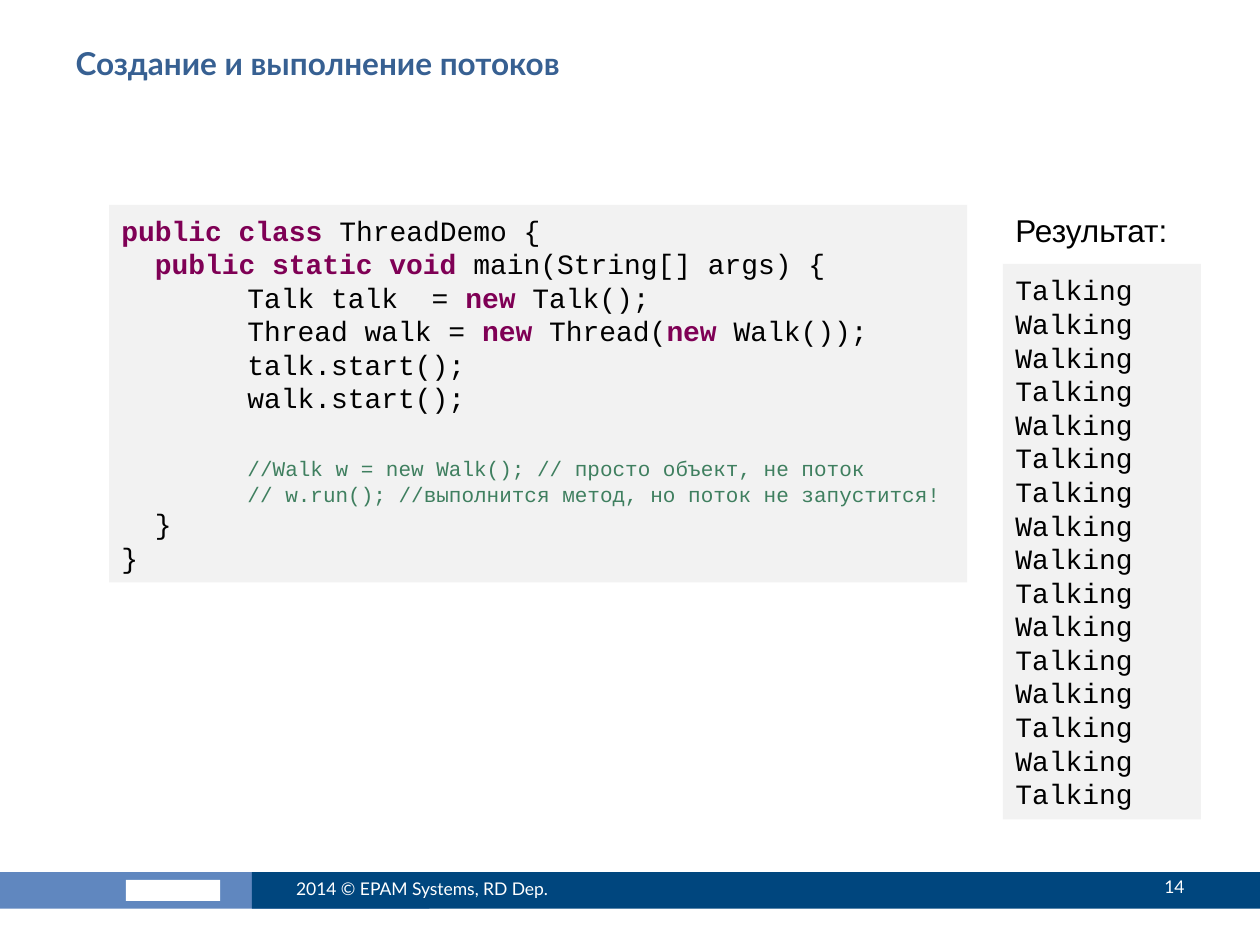
from lxml import etree
from pptx import Presentation
from pptx import util as u
from pptx.dml.color import RGBColor
from pptx.enum import shapes, text
from pptx.oxml import ns

WHITE = RGBColor(0xFF, 0xFF, 0xFF)
BLACK = RGBColor(0x00, 0x00, 0x00)
TITLE_BLUE = RGBColor(0x37, 0x60, 0x92)
LIGHT_BLUE = RGBColor(0x60, 0x87, 0xBF)
DARK_BLUE = RGBColor(0x00, 0x46, 0x7E)
PANEL_GREY = RGBColor(0xF2, 0xF2, 0xF2)
KEYWORD = RGBColor(0x7F, 0x00, 0x55)
COMMENT = RGBColor(0x3F, 0x7F, 0x5F)

HEADING_FONT, BODY_FONT, CODE_FONT = "Lato", "Arial", "Courier New"
CODE_SIZE, COMMENT_SIZE = 16, 12
CODE_TAB = u.Cm(2.54)


def plain(words, size=CODE_SIZE):
    return words, size, BLACK, False


def keyword(words):
    return words, CODE_SIZE, KEYWORD, True


def comment(words):
    return words, COMMENT_SIZE, COMMENT, False


class SlideBuilder:
    """Holds the slide and draws each kind of element on it."""

    def __init__(self, presentation):
        self.slide = presentation.slides.add_slide(presentation.slide_layouts[5])

    def add_runs(self, paragraph, runs, font):
        for words, size, color, bold in runs:
            run = paragraph.add_run()
            run.text = words
            run.font.name = font
            run.font.size = u.Pt(size)
            run.font.color.rgb = color
            run.font.bold = bold

    def add_tab_stop(self, paragraph, position):
        properties = paragraph._p.get_or_add_pPr()
        tabs = etree.SubElement(properties, ns.qn("a:tabLst"))
        etree.SubElement(tabs, ns.qn("a:tab"), pos=str(int(position)), algn="l")

    def title(self, words, left, top, width, height):
        shape = self.slide.shapes.title
        shape.left, shape.top = u.Cm(left), u.Cm(top)
        shape.width, shape.height = u.Cm(width), u.Cm(height)
        shape.text_frame.vertical_anchor = text.MSO_ANCHOR.TOP
        paragraph = shape.text_frame.paragraphs[0]
        paragraph.alignment = text.PP_ALIGN.LEFT
        self.add_runs(paragraph, [(words, 18, TITLE_BLUE, True)], HEADING_FONT)

    def rectangle(self, left, top, width, height, color):
        shape = self.slide.shapes.add_shape(
            shapes.MSO_SHAPE.RECTANGLE,
            u.Cm(left), u.Cm(top), u.Cm(width), u.Cm(height))
        shape.shadow.inherit = False
        shape.fill.solid()
        shape.fill.fore_color.rgb = color
        shape.line.fill.background()
        return shape

    def label(self, words, left, top, width, height, size=10, color=WHITE,
              font=HEADING_FONT, align=text.PP_ALIGN.LEFT,
              anchor=text.MSO_ANCHOR.MIDDLE):
        box = self.slide.shapes.add_textbox(
            u.Cm(left), u.Cm(top), u.Cm(width), u.Cm(height))
        frame = box.text_frame
        frame.word_wrap = True
        frame.vertical_anchor = anchor
        frame.paragraphs[0].alignment = align
        self.add_runs(frame.paragraphs[0], [(words, size, color, False)], font)

    def code_panel(self, lines, left, top, width, height, gap_before=None):
        frame = self.rectangle(left, top, width, height, PANEL_GREY).text_frame
        frame.word_wrap = True
        frame.auto_size = text.MSO_AUTO_SIZE.SHAPE_TO_FIT_TEXT
        frame.vertical_anchor = text.MSO_ANCHOR.MIDDLE
        for number, runs in enumerate(lines):
            paragraph = frame.add_paragraph() if number else frame.paragraphs[0]
            paragraph.alignment = text.PP_ALIGN.LEFT
            if number == gap_before:
                paragraph.space_before = u.Pt(19.2)
            if runs[0][0].startswith("\t"):
                self.add_tab_stop(paragraph, CODE_TAB)
            self.add_runs(paragraph, runs, CODE_FONT)


CODE = [
    [keyword("public class "), plain("ThreadDemo {")],
    [keyword("  public static void"), plain(" main(String[] args) {")],
    [plain("\tTalk talk  = "), keyword("new "), plain("Talk();")],
    [plain("\tThread walk = "), keyword("new"), plain(" Thread("),
     keyword("new"), plain(" Walk());")],
    [plain("\ttalk.start();")],
    [plain("\twalk.start();")],
    [plain("\t"), comment("//Walk w = new Walk(); // просто объект, не поток")],
    [plain("\t", COMMENT_SIZE),
     comment("// w.run(); //выполнится метод, но поток не запустится!")],
    [plain("  }")],
    [plain("}")],
]
FIRST_COMMENT = 6
OUTPUT = ("Talking Walking Walking Talking Walking Talking Talking Walking "
          "Walking Talking Walking Talking Walking Talking Walking Talking").split()


def main():
    presentation = Presentation()
    presentation.slide_width, presentation.slide_height = u.Cm(25.4), u.Cm(19.05)
    builder = SlideBuilder(presentation)

    # Footer band, with a plain block in the emblem's place
    band_top, band_height = 17.58, 0.74
    builder.rectangle(-0.05, band_top, 8.71, band_height, LIGHT_BLUE)
    builder.rectangle(2.54, 17.74, 1.9, 0.42, WHITE)
    builder.rectangle(5.08, band_top, 20.32, band_height, DARK_BLUE)
    builder.label("2014 © EPAM Systems, RD Dep.", 5.72, 17.41, 6.78, 1.02)
    builder.label("14", 21.39, 17.36, 2.74, 1.02, align=text.PP_ALIGN.RIGHT)

    # Title
    builder.title("Создание и выполнение потоков", 1.27, 0.76, 22.86, 1.98)

    # Program and its output
    builder.code_panel(CODE, 2.2, 4.13, 17.3, 7.61, gap_before=FIRST_COMMENT)
    builder.code_panel([[plain(word)] for word in OUTPUT], 20.22, 5.32, 3.99, 11.2)
    builder.label("Результат:", 20.22, 4.13, 4.17, 1.24, size=18, color=BLACK,
                  font=BODY_FONT, anchor=text.MSO_ANCHOR.TOP)

    presentation.save("out.pptx")


if __name__ == "__main__":
    main()
